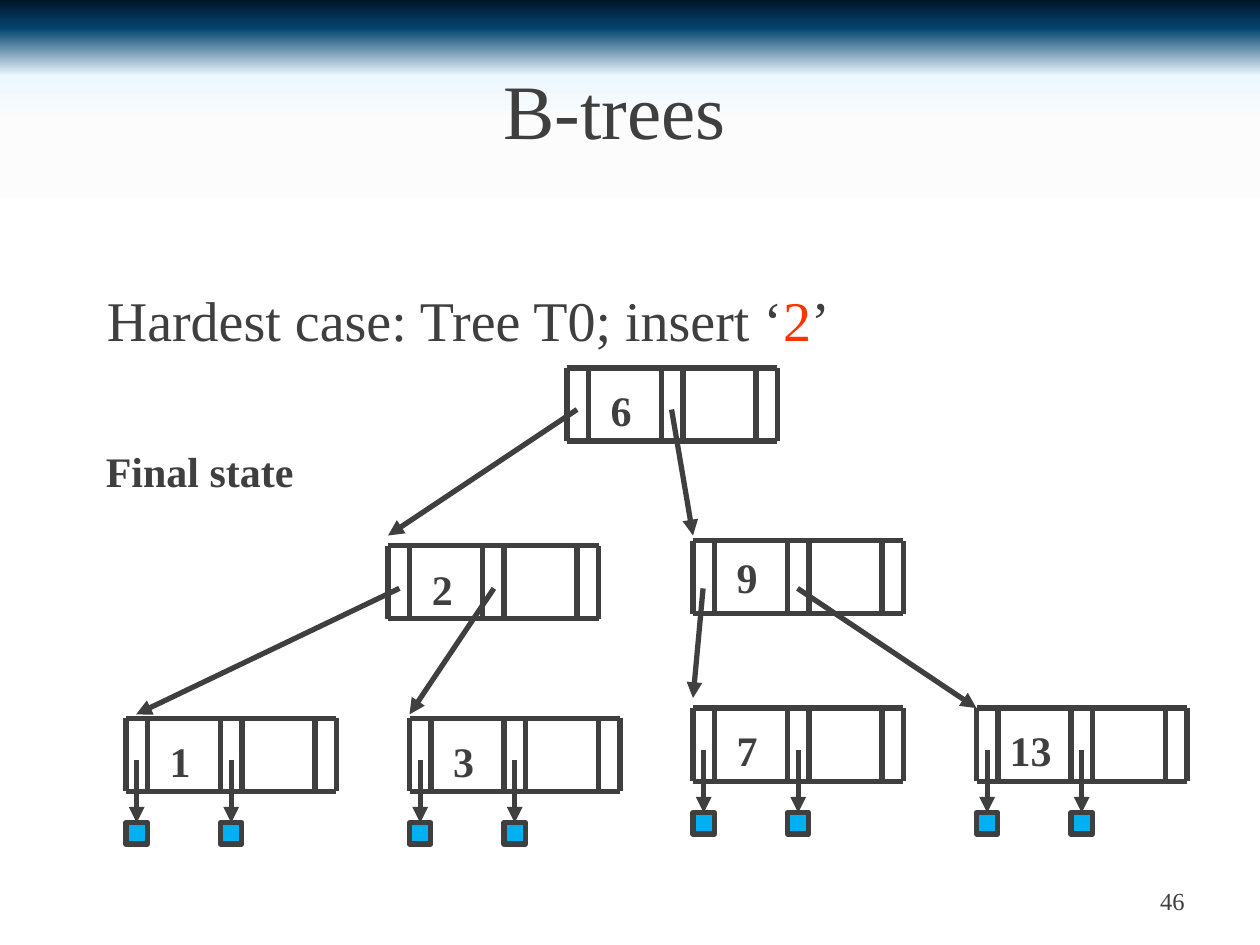
import pptx
import pptx.dml.color
import pptx.enum.shapes
import pptx.enum.text
import pptx.oxml
import pptx.oxml.ns
import pptx.util
from pptx.util import Inches

FONT = "Times New Roman"
COLORS = {"ink": "3F3F3F", "accent": "FF3300", "leaf": "00B0F0"}
BACKGROUND = [(0, "011629"), (3, "054470"), (8, "ECF7FE"),
              (13, "FCFCFC"), (21, "FFFFFF"), (98, "FFFFFF")]

# Node geometry: three narrow pointer slots with two key cells between them
SLOT_W, SLOT_STEP, NODE_H = 0.17, 0.75, 0.58
NODE_W = 2 * SLOT_STEP + SLOT_W
POINTER_Y, LEAF_Y = 0.33, 0.83

# key, left, top, label top, is a bottom node
NODES = [
    ("6", 4.5, 2.92, 3.0, False),
    ("2", 3.08, 4.33, 4.42, False),
    ("9", 5.5, 4.29, 4.33, False),
    ("1", 1.0, 5.7, 5.79, True),
    ("3", 3.25, 5.7, 5.79, True),
    ("7", 5.5, 5.62, 5.7, True),
    ("13", 7.75, 5.62, 5.7, True),
]
# from x, y to x, y
BRANCHES = [
    (4.58, 3.25, 3.08, 4.25), (5.33, 3.25, 5.5, 4.25),
    (3.17, 4.67, 1.08, 5.67), (3.92, 4.67, 3.25, 5.67),
    (5.58, 4.67, 5.5, 5.54), (6.33, 4.67, 7.75, 5.62),
]


def rgb(name):
    return pptx.dml.color.RGBColor.from_string(COLORS[name])


def add_background(s):
    fill = s.background.fill
    fill.gradient()
    fill.gradient_angle = 270
    stops = s.element.find(".//" + pptx.oxml.ns.qn("a:gsLst"))
    for stop in list(stops):
        stops.remove(stop)
    for pos, color in BACKGROUND:
        stops.append(pptx.oxml.parse_xml(
            f'<a:gs {pptx.oxml.ns.nsdecls("a")} pos="{pos * 1000}">'
            f'<a:srgbClr val="{color}"/></a:gs>'))


def add_text(shapes, box, runs, size, align="CENTER", bold=False,
             middle=False, wrap=True):
    """Add a one-paragraph text box; runs are (text, colour name) pairs."""
    tf = shapes.add_textbox(*map(Inches, box)).text_frame
    tf.word_wrap = wrap
    if middle:
        tf.vertical_anchor = pptx.enum.text.MSO_ANCHOR.MIDDLE
    p = tf.paragraphs[0]
    p.alignment = getattr(pptx.enum.text.PP_ALIGN, align)
    for text, color in runs:
        r = p.add_run()
        r.text = text
        r.font.name = FONT
        r.font.size = pptx.util.Pt(size)
        r.font.bold = bold
        r.font.color.rgb = rgb(color)


def style_line(line):
    line.color.rgb = rgb("ink")
    line.width = pptx.util.Pt(3)


def add_line(shapes, x1, y1, x2, y2, arrow=False):
    c = shapes.add_connector(pptx.enum.shapes.MSO_CONNECTOR.STRAIGHT,
                             *map(Inches, (x1, y1, x2, y2)))
    style_line(c.line)
    if arrow:
        c.line._get_or_add_ln().append(pptx.oxml.parse_xml(
            f'<a:tailEnd {pptx.oxml.ns.nsdecls("a")} type="triangle"/>'))
    c._element.spPr.append(pptx.oxml.parse_xml(
        f'<a:effectLst {pptx.oxml.ns.nsdecls("a")}/>'))


def add_leaf(shapes, x, top):
    """Add a pointer from a node slot down to its leaf square."""
    center = x + SLOT_W / 2
    add_line(shapes, center, top + POINTER_Y, center, top + LEAF_Y, arrow=True)
    sp = shapes.add_shape(pptx.enum.shapes.MSO_SHAPE.RECTANGLE,
                          *map(Inches, (x, top + LEAF_Y, SLOT_W, SLOT_W)))
    sp.shadow.inherit = False
    sp.fill.solid()
    sp.fill.fore_color.rgb = rgb("leaf")
    style_line(sp.line)


def add_node(s, key, x, top, label_top, bottom):
    shapes = s.shapes.add_group_shape().shapes
    slots = [x + i * SLOT_STEP for i in range(3)]
    for slot in slots:
        for edge in (slot, slot + SLOT_W):
            add_line(shapes, edge, top, edge, top + NODE_H)
    for y in (top, top + NODE_H):
        add_line(shapes, x, y, x + NODE_W, y)
    if bottom:
        for slot in slots[:2]:
            add_leaf(shapes, slot, top)
    width = 0.37 if len(key) == 1 else 0.53
    center = x + 0.43
    add_text(shapes, (center - width / 2, label_top, width, 0.5),
             [(key, "ink")], 24, bold=True, wrap=False)


def main():
    prs = pptx.Presentation()
    prs.slide_width, prs.slide_height = Inches(10), Inches(7.5)
    s = prs.slides.add_slide(prs.slide_layouts[6])
    add_background(s)

    # Page number, title and statement
    add_text(s.shapes, (7.17, 6.95, 2.33, 0.4), [("46", "ink")], 14,
             align="RIGHT", middle=True)
    add_text(s.shapes, (0.17, 0.3, 9.42, 1.12), [("B-trees", "ink")], 44,
             middle=True)
    add_text(s.shapes, (0.75, 2.22, 8.5, 0.67),
             [("Hardest case: Tree T0; insert ‘", "ink"), ("2", "accent"),
              ("’", "ink")], 32, align="LEFT")

    # Tree
    for node in NODES:
        add_node(s, *node)
    for branch in BRANCHES:
        add_line(s.shapes, *branch, arrow=True)
    add_text(s.shapes, (0.67, 3.49, 1.83, 0.5), [("Final state", "ink")], 24,
             bold=True)

    prs.save("out.pptx")


if __name__ == "__main__":
    main()
